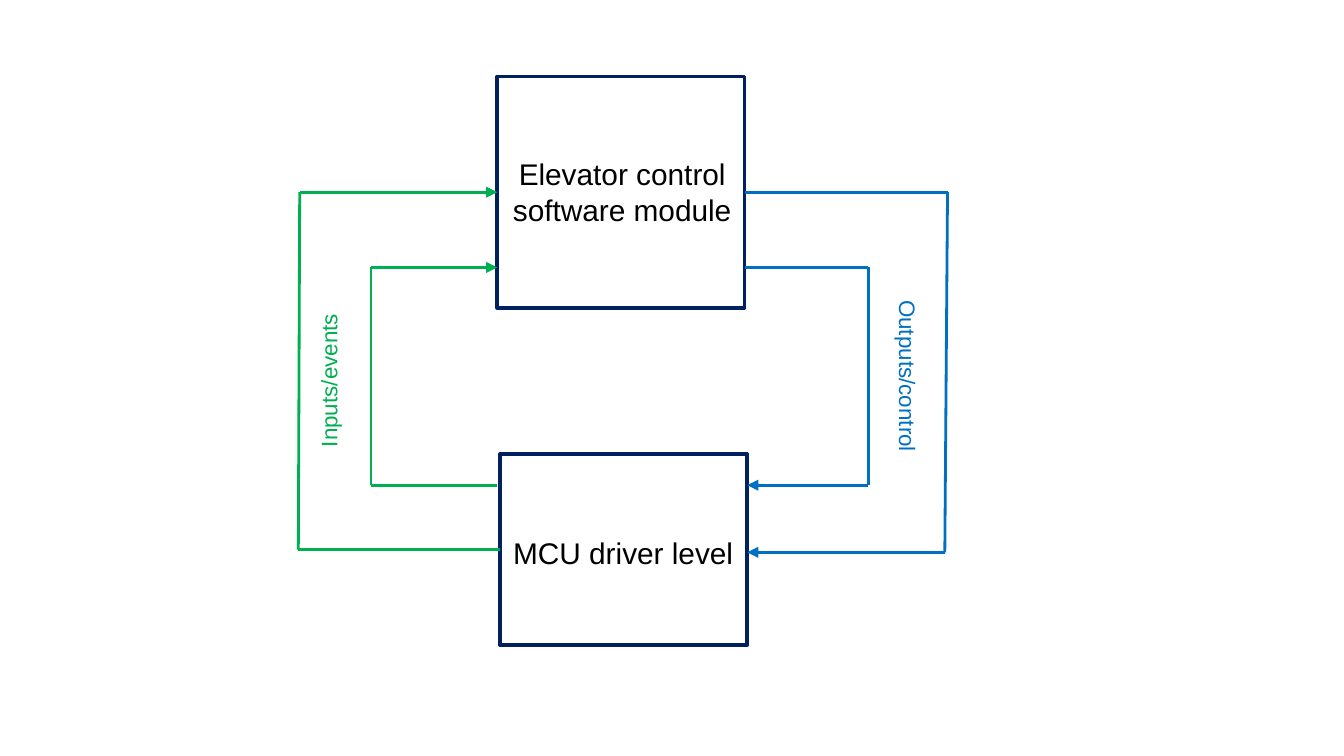
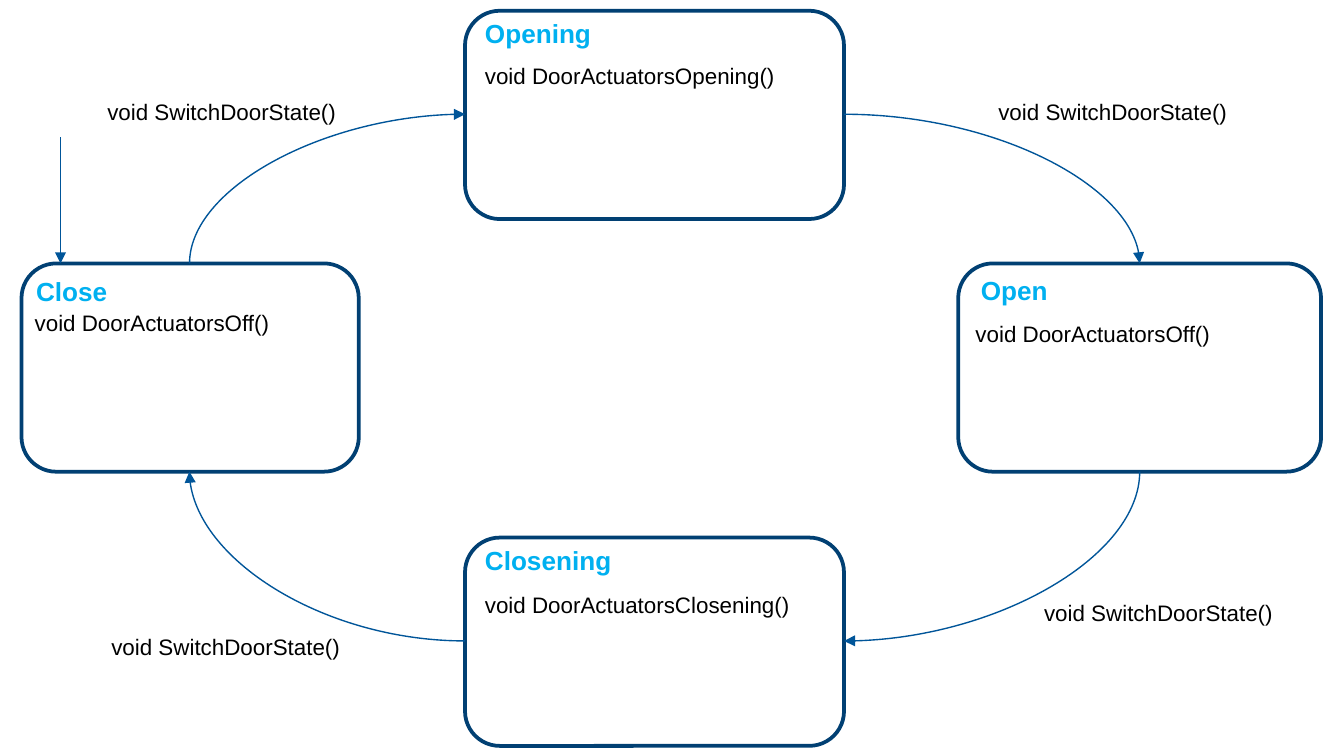
import pptx
import pptx.util
import pptx.dml.color
import pptx.enum.shapes
import pptx.enum.text
import pptx.oxml
import pptx.oxml.ns
from dataclasses import dataclass

Inches = pptx.util.Inches
SHAPES = pptx.enum.shapes.MSO_SHAPE
CONNECTORS = pptx.enum.shapes.MSO_CONNECTOR
CENTER = pptx.enum.text.PP_ALIGN.CENTER


@dataclass(frozen=True)
class Theme:
    font: str = "Arial"
    text: str = "000000"
    module_border: str = "002060"
    input_color: str = "00B050"
    output_color: str = "0070C0"
    state_border: str = "014073"
    state_name: str = "00B0F0"
    transition: str = "005599"
    module_size: int = 16
    name_size: int = 14
    label_size: int = 12
    border_width: float = 2
    signal_width: float = 1.5
    transition_width: float = 0.75


THEME = Theme()


def rgb(color):
    return pptx.dml.color.RGBColor.from_string(color)


def add_box(slide, kind, frame, color):
    shape = slide.shapes.add_shape(kind, *map(Inches, frame))
    shape.shadow.inherit = False
    shape.fill.background()
    shape.line.color.rgb = rgb(color)
    shape.line.width = pptx.util.Pt(THEME.border_width)


def add_text(slide, text, frame, size=THEME.label_size, color=THEME.text,
             bold=False, wrap=True, align=None, rotation=0):
    box = slide.shapes.add_textbox(*map(Inches, frame))
    box.rotation = rotation
    box.text_frame.word_wrap = wrap
    box.text_frame.auto_size = pptx.enum.text.MSO_AUTO_SIZE.SHAPE_TO_FIT_TEXT
    paragraph = box.text_frame.paragraphs[0]
    paragraph.alignment = align
    run = paragraph.add_run()
    run.text = text
    run.font.color.rgb = rgb(color)
    font_format = {"name": THEME.font, "size": pptx.util.Pt(size), "bold": bold}
    for attribute, value in font_format.items():
        setattr(run.font, attribute, value)


def add_line(slide, start, end, color, width, arrow=False, kind=CONNECTORS.STRAIGHT):
    connector = slide.shapes.add_connector(kind, *map(Inches, (*start, *end)))
    connector.line.color.rgb = rgb(color)
    connector.line.width = pptx.util.Pt(width)
    properties = connector._element.spPr
    if arrow:
        line = properties.find(pptx.oxml.ns.qn("a:ln"))
        line.append(line.makeelement(pptx.oxml.ns.qn("a:tailEnd"), {"type": "triangle"}))
    properties.append(properties.makeelement(pptx.oxml.ns.qn("a:effectLst"), {}))
    return connector


def add_signal(slide, points, color):
    segments = list(zip(points, points[1:]))
    for index, (start, end) in enumerate(segments):
        last = index == len(segments) - 1
        add_line(slide, start, end, color, THEME.signal_width, arrow=last)


def add_transition(slide, start, end, leaves_vertically):
    first, last = start, end
    if leaves_vertically:
        center_x, center_y = (start[0] + end[0]) / 2, (start[1] + end[1]) / 2
        half_x, half_y = (end[1] - start[1]) / 2, (start[0] - end[0]) / 2
        first = (center_x - half_x, center_y - half_y)
        last = (center_x + half_x, center_y + half_y)
    connector = add_line(slide, first, last, THEME.transition, THEME.transition_width,
                         arrow=True, kind=CONNECTORS.CURVE)
    properties = connector._element.spPr
    properties.find(pptx.oxml.ns.qn("a:prstGeom")).set("prst", "curvedConnector2")
    if leaves_vertically:
        properties.find(pptx.oxml.ns.qn("a:xfrm")).set("rot", "5400000")


def add_state(slide, name, frame, name_frame, action, action_frame):
    add_box(slide, SHAPES.ROUNDED_RECTANGLE, frame, THEME.state_border)
    add_text(slide, name, name_frame, THEME.name_size, THEME.state_name,
             bold=True, wrap=False)
    add_text(slide, action, action_frame)


def build_modules(slide):
    add_box(slide, SHAPES.RECTANGLE, (3.72, 3.38, 1.84, 1.42), THEME.module_border)
    add_text(slide, "MCU driver level", (3.72, 3.93, 1.86, 0.37),
             THEME.module_size, wrap=False)
    add_box(slide, SHAPES.RECTANGLE, (3.7, 0.57, 1.84, 1.72), THEME.module_border)
    add_text(slide, "Elevator control software module", (3.7, 1.11, 1.86, 0.64),
             THEME.module_size, align=CENTER)

    outer_top, inner_top, inner_bottom = 1.43, 1.99, 3.61
    signals = [
        (THEME.input_color, 3.7, 2.76, 2.76, 3.7, inner_bottom, inner_top),
        (THEME.input_color, 3.72, 2.22, 2.23, 3.7, 4.09, outer_top),
        (THEME.output_color, 5.54, 6.46, 6.46, 5.56, inner_top, inner_bottom),
        (THEME.output_color, 5.54, 7.05, 7.03, 5.56, outer_top, 4.11),
    ]
    for color, start_x, turn_x, return_x, end_x, start_y, end_y in signals:
        points = [(start_x, start_y), (turn_x, start_y), (return_x, end_y), (end_x, end_y)]
        add_signal(slide, points, color)

    add_text(slide, "Inputs/events", (1.78, 2.61, 1.33, 0.3),
             color=THEME.input_color, rotation=270)
    add_text(slide, "Outputs/control", (6.09, 2.65, 1.33, 0.3),
             color=THEME.output_color, rotation=90)


def build_states(slide):
    height, name_height = 1.55, 0.34
    top, middle, bottom = 0.08, 1.96, 4
    states = [
        ("Close", (0.16, middle, 2.51, height), (0.17, 2, 0.73, name_height),
         "void DoorActuatorsOff()", (0.16, 2.25, 2.63, 0.3)),
        ("Opening", (3.46, top, 2.82, height), (3.51, top, 1.05, name_height),
         "void DoorActuatorsOpening()", (3.51, 0.41, 2.63, 0.54)),
        ("Open", (7.13, middle, 2.7, height), (7.2, 1.99, 0.76, name_height),
         "void DoorActuatorsOff()", (7.16, 2.33, 2.63, 0.3)),
        ("Closening", (3.46, bottom, 2.82, height), (3.51, bottom, 1.2, name_height),
         "void DoorActuatorsClosening()", (3.51, 4.35, 2.53, 0.3)),
    ]
    for state in states:
        add_state(slide, *state)

    close_x, open_x = 1.41, 8.48
    opening_y, closening_y = 0.85, 4.77
    left, right = 3.46, 6.28
    middle_end = middle + height
    add_transition(slide, (close_x, middle), (left, opening_y), True)
    add_transition(slide, (right, opening_y), (open_x, middle), False)
    add_transition(slide, (open_x, middle_end), (right, closening_y), True)
    add_transition(slide, (left, closening_y), (close_x, middle_end), False)
    add_line(slide, (0.45, 1.02), (0.45, middle), THEME.transition,
             THEME.transition_width, arrow=True)

    for x, y in [(7.33, 0.68), (7.67, 4.41), (0.73, 4.66), (0.7, 0.68)]:
        add_text(slide, "void SwitchDoorState()", (x, y, 2.63, 0.54))


def main():
    presentation = pptx.Presentation()
    presentation.slide_width = Inches(10)
    presentation.slide_height = Inches(10 * 9 / 16)
    for build in (build_modules, build_states):
        build(presentation.slides.add_slide(presentation.slide_layouts[6]))
    presentation.save("out.pptx")


if __name__ == "__main__":
    main()
